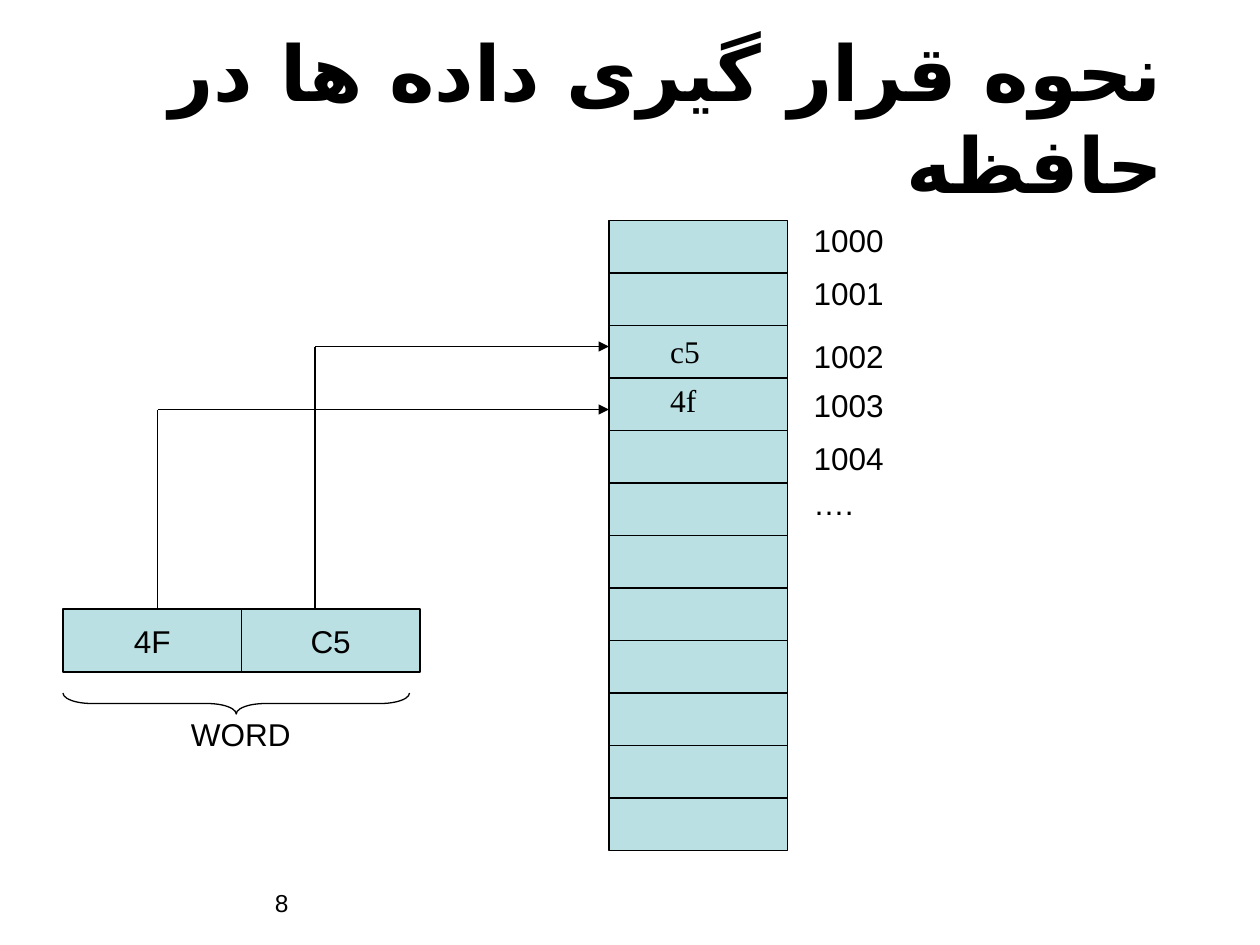
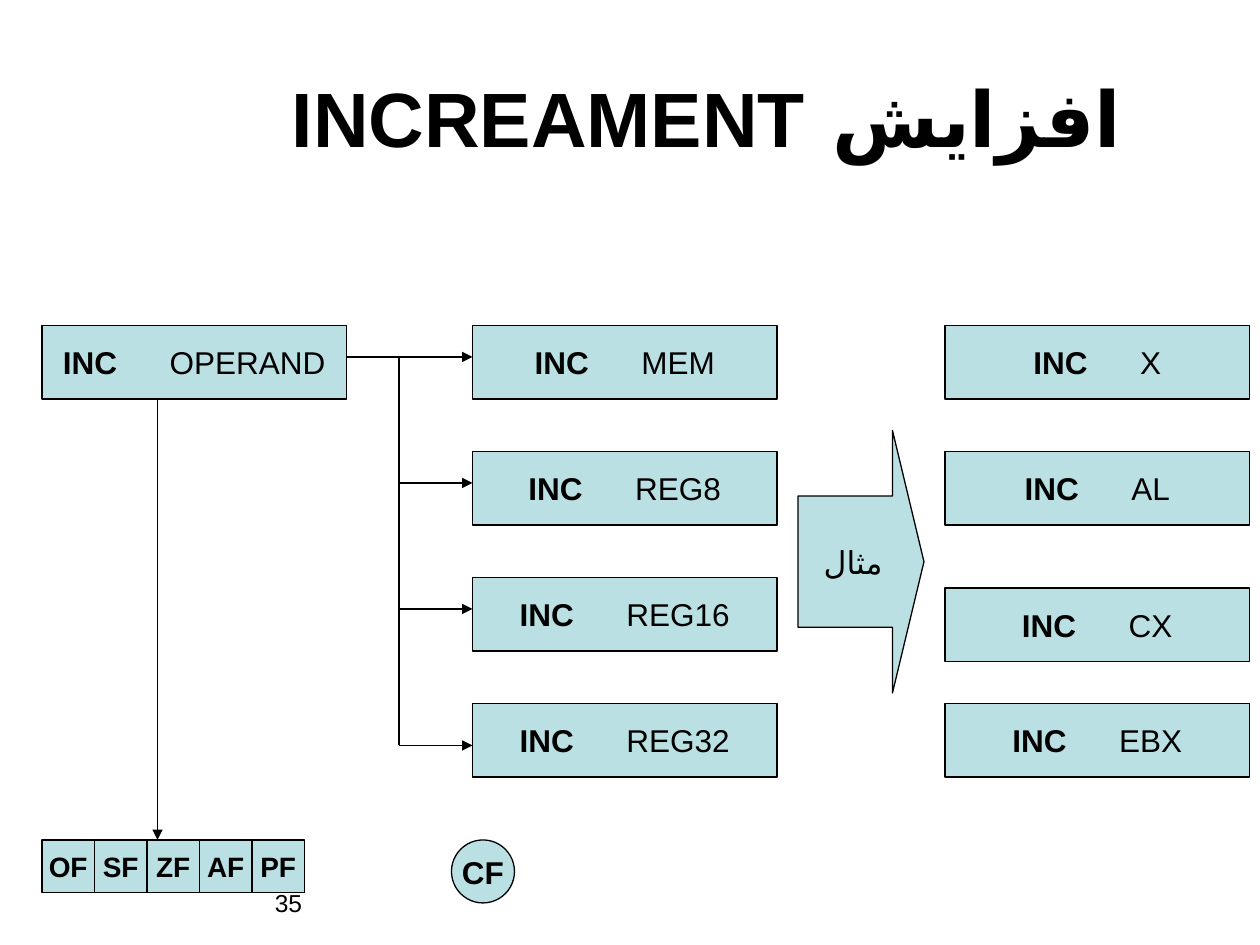
from dataclasses import dataclass
from typing import NamedTuple

from lxml import etree
from pptx import Presentation
from pptx.dml.color import RGBColor
from pptx.enum import shapes, text
from pptx.oxml import ns
from pptx.slide import Slide
from pptx.util import Emu, Inches, Pt

HUES = {"ink": "000000", "fill": "BBE0E3", "page": "FFFFFF"}
SANS, SERIF, SCRIPT = "Arial", "Times New Roman", "DejaVu Sans"
WIDE, HIGH = Inches(10), Inches(7.5)
COLS, ROWS = 120, 90
KIND = shapes.MSO_SHAPE


class Bit(NamedTuple):
    words: str
    bold: bool = False
    gap: float = 0


class Area(NamedTuple):
    col: float
    row: float
    wide: float
    high: float


class Line(NamedTuple):
    start: tuple[float, float]
    end: tuple[float, float]
    head: bool = False


@dataclass
class Box:
    area: Area
    bits: tuple[Bit, ...] = ()
    size: float = 18
    kind: KIND = KIND.RECTANGLE
    tweaks: tuple[float, ...] = ()
    turn: float = 0
    filled: bool = True


@dataclass
class Label:
    area: Area
    words: str
    size: float = 18
    face: str = SANS
    wrap: bool = False


def hue(name: str) -> RGBColor:
    return RGBColor.from_string(HUES[name])


def left(col: float) -> Emu:
    return Emu(round(WIDE * col / COLS))


def down(row: float) -> Emu:
    return Emu(round(HIGH * row / ROWS))


def place(area: Area) -> tuple[Emu, Emu, Emu, Emu]:
    return left(area.col), down(area.row), left(area.wide), down(area.high)


def add_run(para, bit: Bit, size: float, face: str = SANS) -> None:
    run = para.add_run()
    run.text = bit.words
    font = run.font
    font.size, font.name, font.bold = Pt(size), face, bit.bold
    font.color.rgb = hue("ink")
    props = run._r.get_or_add_rPr()
    if not bit.words.isascii():
        etree.SubElement(props, ns.qn("a:cs"), typeface=SCRIPT)
    if bit.gap:
        props.set("spc", str(round(bit.gap * 100)))


def add_box(slide: Slide, box: Box) -> None:
    shape = slide.shapes.add_shape(box.kind, *place(box.area))
    shape.shadow.inherit = False
    shape.rotation = box.turn
    for spot, tweak in enumerate(box.tweaks):
        shape.adjustments[spot] = tweak
    if box.filled:
        shape.fill.solid()
        shape.fill.fore_color.rgb = hue("fill")
    else:
        shape.fill.background()
    shape.line.color.rgb = hue("ink")
    shape.line.width = Pt(0.75)
    frame = shape.text_frame
    frame.word_wrap = False
    frame.vertical_anchor = text.MSO_ANCHOR.MIDDLE
    para = frame.paragraphs[0]
    para.alignment = text.PP_ALIGN.CENTER
    for bit in box.bits:
        add_run(para, bit, box.size)


def add_label(slide: Slide, label: Label) -> None:
    frame = slide.shapes.add_textbox(*place(label.area)).text_frame
    frame.word_wrap = label.wrap
    if not label.wrap:
        frame.auto_size = text.MSO_AUTO_SIZE.SHAPE_TO_FIT_TEXT
    add_run(frame.paragraphs[0], Bit(label.words), label.size, label.face)


def add_line(slide: Slide, line: Line) -> None:
    (x, y), (far, low) = line.start, line.end
    link = slide.shapes.add_connector(
        shapes.MSO_CONNECTOR.STRAIGHT, left(x), down(y), left(far), down(low))
    link.line.color.rgb = hue("ink")
    link.line.width = Pt(0.75)
    if line.head:
        etree.SubElement(link.line._get_or_add_ln(), ns.qn("a:tailEnd"), type="triangle")
    etree.SubElement(link._element.spPr, ns.qn("a:effectLst"))


def add_page(deck, title: str, col: float, page: str) -> Slide:
    slide = deck.slides.add_slide(deck.slide_layouts[5])
    slide.background.fill.solid()
    slide.background.fill.fore_color.rgb = hue("page")
    head = slide.shapes.title
    head.left, head.top, head.width, head.height = place(Area(col, 3.6, 108, 15))
    frame = head.text_frame
    frame.word_wrap = True
    frame.auto_size = text.MSO_AUTO_SIZE.NONE
    frame.vertical_anchor = text.MSO_ANCHOR.MIDDLE
    para = frame.paragraphs[0]
    para.alignment = text.PP_ALIGN.RIGHT
    para._p.get_or_add_pPr().set("rtl", "1")
    add_run(para, Bit(title, bold=True), 44)
    add_label(slide, Label(Area(25, 84, 18, 6), page, size=14, wrap=True))
    return slide


def code(col: float, row: float, name: str) -> Box:
    bits = Bit("INC", bold=True), Bit(" ", gap=25), Bit(name)
    return Box(Area(col, row, 29, 7), bits)


def draw_store(deck) -> None:
    slide = add_page(deck, "نحوه قرار گیری داده ها در حافظه", 4, "8")
    for spot, name in enumerate(("4F", "C5")):
        add_box(slide, Box(Area(6 + 17 * spot, 58, 17, 6), (Bit(name),)))
    for spot in range(12):
        add_box(slide, Box(Area(58, 21 + 5 * spot, 17, 5)))
    marks = (("1000", 20.5), ("1001", 25.5), ("1002", 31.5),
             ("1003", 36.2), ("1004", 41.2), ("….", 45.5))
    for name, row in marks:
        wide = 9.2 if name.isdigit() else 6.2
        add_label(slide, Label(Area(76.3, row, wide, 4.8), name))
    for col, row in ((15, 39), (30, 33)):
        add_line(slide, Line((col, 58), (col, row)))
        add_line(slide, Line((col, row), (58, row), head=True))
    add_box(slide, Box(Area(21.5, 50.5, 2, 33), kind=KIND.LEFT_BRACE,
                       tweaks=(1.38, 0.5), turn=270, filled=False))
    add_label(slide, Label(Area(17, 67.5, 11.9, 4.8), "WORD"))
    for name, row, wide in (("c5", 31, 5.6), ("4f", 35.7, 5.2)):
        add_label(slide, Label(Area(62.65, row, wide, 4.8), name, face=SERIF))


def draw_inc(deck) -> None:
    slide = add_page(deck, "افزایش INCREAMENT", 0, "35")
    add_box(slide, code(4, 31, "OPERAND"))
    for spot, name in enumerate(("MEM", "REG8", "REG16", "REG32")):
        add_box(slide, code(45, 31 + 12 * spot, name))
    for name, row in (("X", 31), ("AL", 43), ("CX", 56), ("EBX", 67)):
        add_box(slide, code(90, row, name))
    add_line(slide, Line((33, 34), (38, 34)))
    add_line(slide, Line((38, 34), (38, 71)))
    for row in (34, 46, 58, 71):
        add_line(slide, Line((38, row), (45, row), head=True))
    add_box(slide, Box(Area(76, 41, 12, 25), (Bit("مثال"),),
                       kind=KIND.RIGHT_ARROW, tweaks=(0.5, 0.25)))
    add_line(slide, Line((15, 38), (15, 80), head=True))
    for spot, name in enumerate(("OF", "SF", "ZF", "AF", "PF")):
        add_box(slide, Box(Area(4 + 5 * spot, 80, 5, 5), (Bit(name, bold=True),), size=16))
    add_box(slide, Box(Area(43, 80, 6, 6), (Bit("CF", bold=True),), kind=KIND.OVAL))


def main() -> None:
    deck = Presentation()
    deck.slide_width, deck.slide_height = WIDE, HIGH
    draw_store(deck)
    draw_inc(deck)
    deck.save("out.pptx")


if __name__ == "__main__":
    main()
